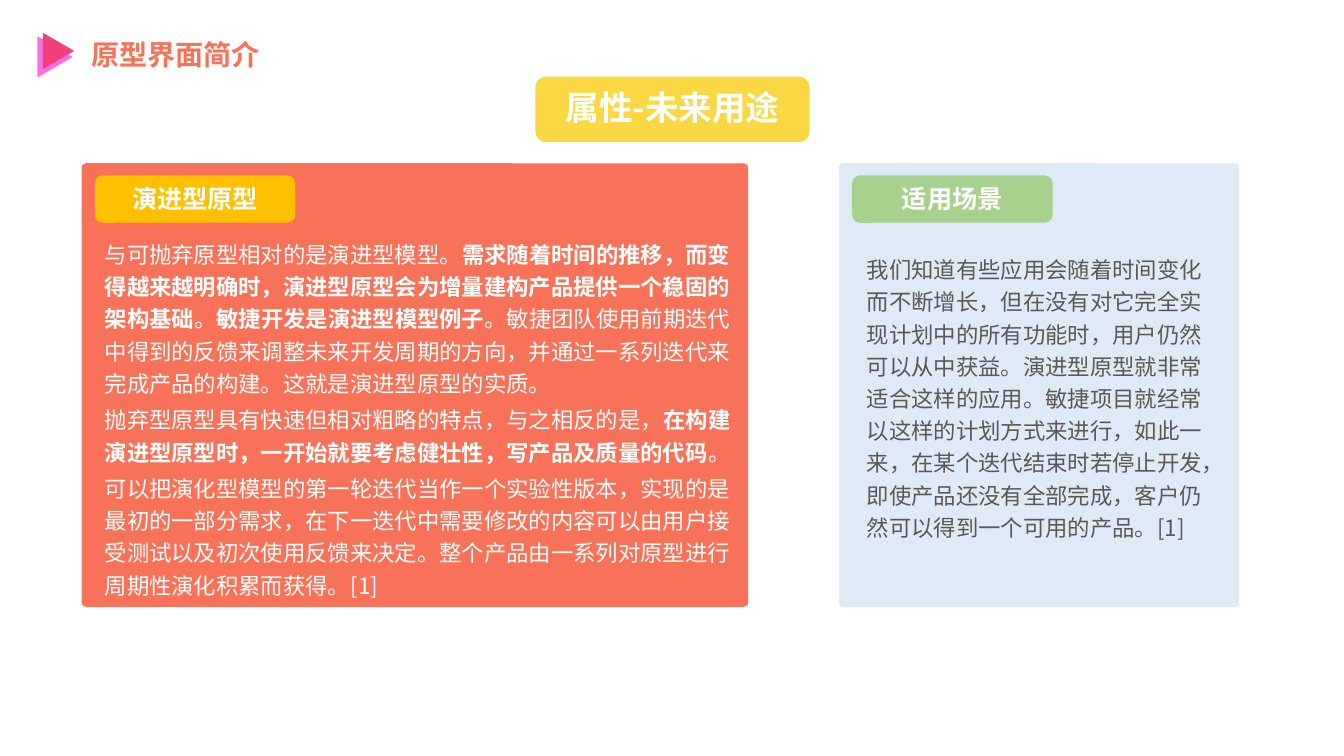
from pptx import Presentation
from pptx.dml.color import RGBColor
from pptx.enum.shapes import MSO_SHAPE
from pptx.enum.text import MSO_ANCHOR, MSO_AUTO_SIZE, PP_ALIGN
from pptx.oxml.ns import qn
from pptx.util import Inches, Pt
from lxml.etree import SubElement

FONT = "Noto Sans CJK SC"
WHITE = RGBColor(0xFF, 0xFF, 0xFF)
GREY = RGBColor(0x59, 0x59, 0x59)
CORAL = RGBColor(0xF7, 0x72, 0x58)
PALE_BLUE = RGBColor(0xDE, 0xEB, 0xF7)
AMBER = RGBColor(0xFF, 0xC0, 0x00)
GREEN = RGBColor(0xA9, 0xD1, 0x8E)
YELLOW = RGBColor(0xF9, 0xD8, 0x44)
PINK = RGBColor(0xFF, 0x6C, 0xE4)
ROSE = RGBColor(0xF0, 0x40, 0x77)

TITLE = "原型界面简介"
TOPIC = "属性-未来用途"
MARKERS = [(0.34, 0.39, 0.41, 0.35, PINK), (0.4, 0.35, 0.36, 0.31, ROSE)]
PANELS = [
    dict(
        label="演进型原型", left=0.81, width=6.61, fill=CORAL, label_fill=AMBER,
        ink=WHITE, story_box=(0.94, 2.29, 6.48, 3.76),
        story=[
            [("与可抛弃原型相对的是演进型模型。", False),
             ("需求随着时间的推移，而变得越来越明确时，演进型原型会为增量建构产品提供一个稳固的架构基础", True),
             ("。", False),
             ("敏捷开发是演进型模型例子", True),
             ("。敏捷团队使用前期迭代中得到的反馈来调整未来开发周期的方向，并通过一系列迭代来完成产品的构建。这就是演进型原型的实质。", False)],
            [("抛弃型原型具有快速但相对粗略的特点，与之相反的是，", False),
             ("在构建演进型原型时，一开始就要考虑健壮性，写产品及质量的代码", True),
             ("。", False)],
            [("可以把演化型模型的第一轮迭代当作一个实验性版本，实现的是最初的一部分需求，在下一迭代中需要修改的内容可以由用户接受测试以及初次使用反馈来决定。整个产品由一系列对原型进行周期性演化积累而获得。[1]", False)],
        ],
    ),
    dict(
        label="适用场景", left=8.32, width=3.97, fill=PALE_BLUE, label_fill=GREEN,
        ink=GREY, story_box=(8.5, 2.44, 3.6, 3.36),
        story=[
            [("我们知道有些应用会随着时间变化而不断增长，但在没有对它完全实现计划中的所有功能时，用户仍然可以从中获益。演进型原型就非常适合这样的应用。敏捷项目就经常以这样的计划方式来进行，如此一来，在某个迭代结束时若停止开发，即使产品还没有全部完成，客户仍然可以得到一个可用的产品。[1]", False)],
        ],
    ),
]
PANEL_TOP, PANEL_HEIGHT = 1.62, 4.4
LABEL_LEFT, LABEL_TOP, LABEL_WIDTH, LABEL_HEIGHT = 0.13, 0.12, 1.99, 0.47


def write(frame, paragraphs, *, size, color, align=PP_ALIGN.LEFT,
          anchor=MSO_ANCHOR.MIDDLE, wrap=True, gap=0, spacing=1.0):
    frame.word_wrap = wrap
    frame.auto_size = MSO_AUTO_SIZE.NONE
    frame.vertical_anchor = anchor
    for index, parts in enumerate(paragraphs):
        paragraph = frame.add_paragraph() if index else frame.paragraphs[0]
        paragraph.alignment = align
        paragraph.line_spacing = spacing
        paragraph.space_before = Pt(gap if index else 0)
        for words, bold in parts:
            run = paragraph.add_run()
            run.text = words
            run.font.size = Pt(size)
            run.font.bold = bold
            run.font.color.rgb = color
            run.font.name = FONT
            SubElement(run.font._element, qn("a:ea")).set("typeface", FONT)


def add_block(preset, left, top, width, height, fill):
    block = slide.shapes.add_shape(
        preset, Inches(left), Inches(top), Inches(width), Inches(height))
    block.shadow.inherit = False
    block.fill.solid()
    block.fill.fore_color.rgb = fill
    block.line.fill.background()
    return block


def add_label(words, left, top, width, height, fill, size, lift):
    label = add_block(MSO_SHAPE.ROUNDED_RECTANGLE, left, top, width, height, fill)
    label.text_frame.margin_bottom = Inches(0.05 + 2 * lift)
    write(label.text_frame, [[(words, True)]], size=size, color=WHITE,
          align=PP_ALIGN.CENTER, wrap=False)


deck = Presentation()
deck.slide_width, deck.slide_height = Inches(13.33), Inches(7.5)
slide = deck.slides.add_slide(deck.slide_layouts[5])

title = slide.shapes.title
title.left, title.top = Inches(0.81), Inches(0.32)
title.width, title.height = Inches(2.22), Inches(0.44)
write(title.text_frame, [[(TITLE, True)]], size=20, color=CORAL, wrap=False)

for left, top, width, height, fill in MARKERS:
    add_block(MSO_SHAPE.ISOSCELES_TRIANGLE, left, top, width, height, fill).rotation = 90

for panel in PANELS:
    card = add_block(MSO_SHAPE.ROUNDED_RECTANGLE, panel["left"], PANEL_TOP,
                     panel["width"], PANEL_HEIGHT, panel["fill"])
    card.adjustments[0] = 0.01
    add_label(panel["label"], panel["left"] + LABEL_LEFT, PANEL_TOP + LABEL_TOP,
              LABEL_WIDTH, LABEL_HEIGHT, panel["label_fill"], 18, lift=0.01)
    story = slide.shapes.add_textbox(*map(Inches, panel["story_box"]))
    write(story.text_frame, panel["story"], size=16, color=panel["ink"],
          anchor=MSO_ANCHOR.TOP, gap=3, spacing=1.2)

add_label(TOPIC, 5.31, 0.76, 2.72, 0.65, YELLOW, 24, lift=0.02)

deck.save("out.pptx")
